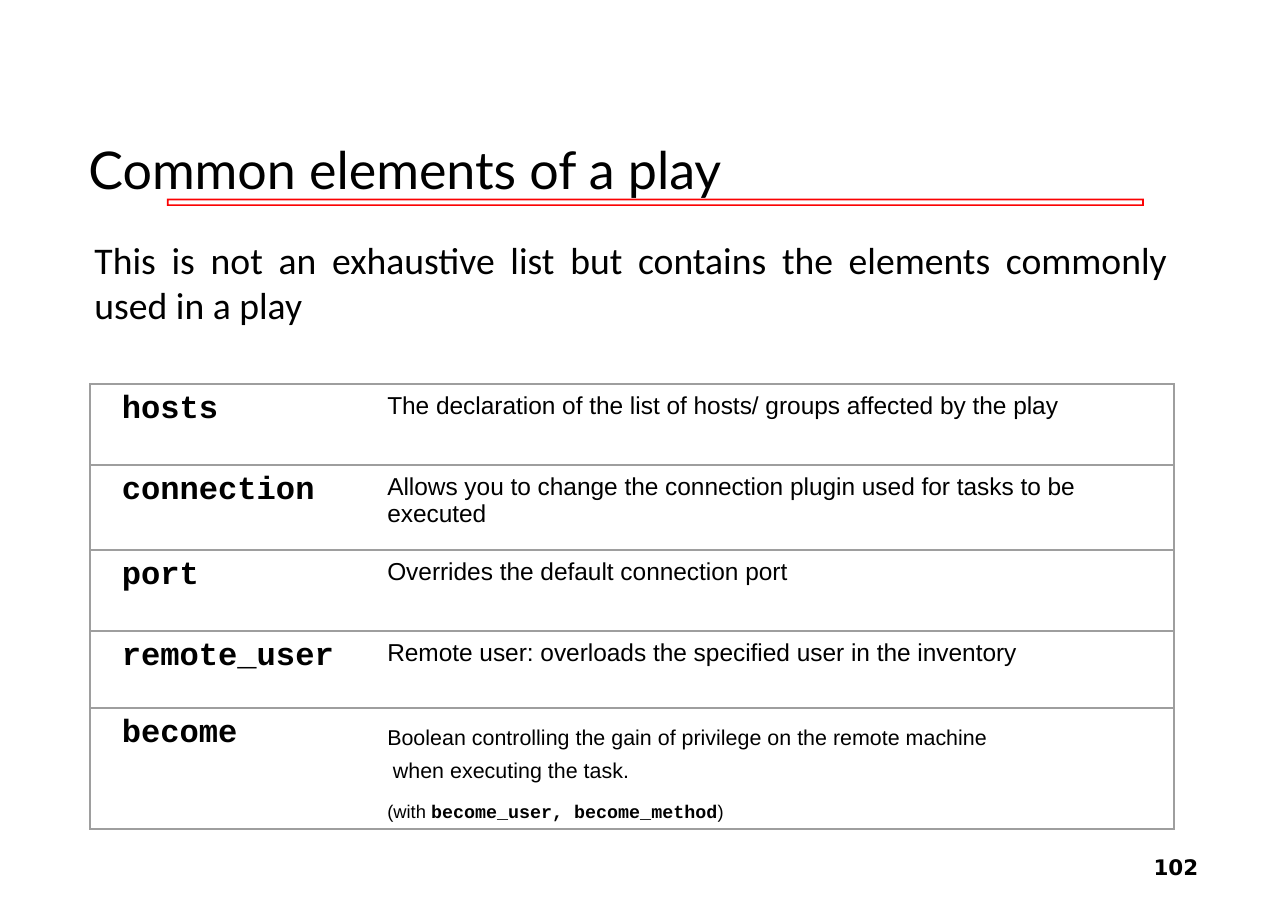
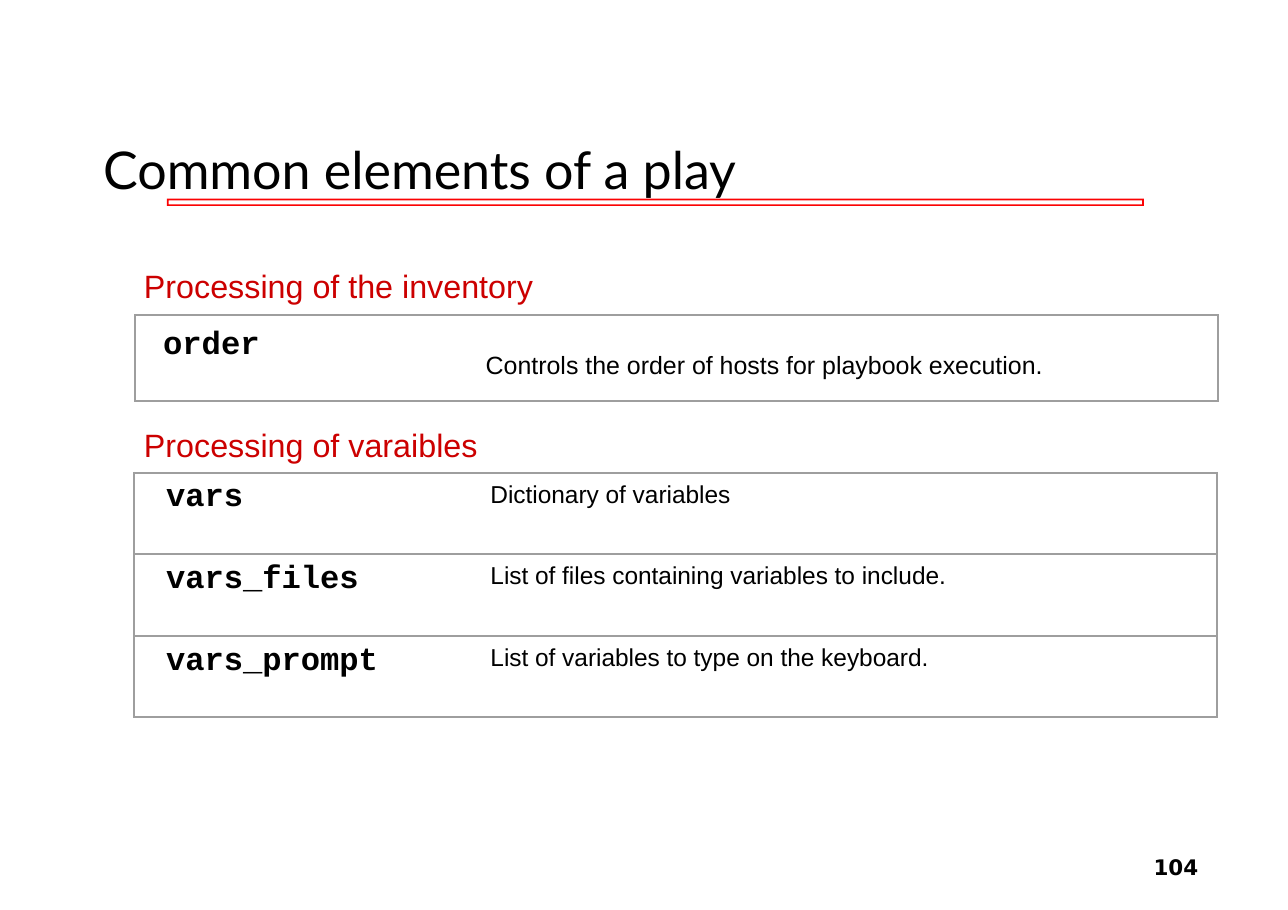
from dataclasses import dataclass

from lxml.etree import SubElement
from pptx import Presentation
from pptx.dml.color import RGBColor
from pptx.enum.shapes import MSO_CONNECTOR, MSO_SHAPE
from pptx.enum.text import PP_ALIGN
from pptx.oxml.ns import qn
from pptx.util import Cm, Pt


@dataclass(frozen=True)
class Theme:
    # Colours
    ink: str = "000000"
    rule: str = "FB0203"
    heading: str = "CC0000"
    border: str = "9E9E9E"
    # Fonts
    title_font: str = "Lato"
    intro_font: str = "Calibri"
    body_font: str = "Arial"
    code_font: str = "Courier New"
    number_font: str = "DejaVu Sans"
    # Type sizes
    title_size: float = 34
    intro_size: float = 24.6
    heading_size: float = 21.1
    term_size: float = 21
    order_size: float = 16.3
    body_size: float = 16
    detail_size: float = 14
    note_size: float = 12
    # Line width
    border_width: float = 1.5


THEME = Theme()
CODE = dict(font=THEME.code_font, bold=True)


def write(paragraph, *runs, font=THEME.body_font, size=THEME.body_size,
          color=THEME.ink, bold=False, align=PP_ALIGN.LEFT, spacing=None,
          before=None, hanging=0):
    """Fill a paragraph; a run is text or a (text, format) pair."""
    paragraph.alignment = align
    if spacing:
        paragraph.line_spacing = spacing
    if before:
        paragraph.space_before = Pt(before)
    if hanging:
        properties = paragraph._p.get_or_add_pPr()
        properties.set("marL", str(Cm(hanging)))
        properties.set("indent", str(-Cm(hanging)))
    for item in runs:
        text, changes = (item, {}) if isinstance(item, str) else item
        run = paragraph.add_run()
        run.text = text
        run.font.name = changes.get("font", font)
        run.font.size = Pt(size)
        run.font.bold = changes.get("bold", bold)
        run.font.color.rgb = RGBColor.from_string(color)


def set_margins(holder, left=0, top=0, right=0):
    holder.margin_left, holder.margin_top = Cm(left), Cm(top)
    holder.margin_right, holder.margin_bottom = Cm(right), Cm(0)


class Deck:
    def __init__(self, theme):
        self.theme = theme
        self.presentation = Presentation()
        self.presentation.slide_width = Cm(29.7)
        self.presentation.slide_height = Cm(20.98)
        self.slide = None

    def new_slide(self, title, number, title_left):
        """Start a slide with the shared rule, title and page number."""
        theme = self.theme
        blank = self.presentation.slide_layouts[6]
        self.slide = self.presentation.slides.add_slide(blank)
        self.title_rule()
        self.text(title_left, 3.17, 21, 1.45, title,
                  font=theme.title_font, size=theme.title_size)
        self.text(26.6, 19.69, 2.4, 0.86, str(number), bold=True,
                  font=theme.number_font, size=theme.detail_size)

    def title_rule(self):
        rule = self.slide.shapes.add_shape(
            MSO_SHAPE.FRAME, Cm(3.85), Cm(4.58), Cm(22.53), Cm(0.17))
        rule.adjustments[0] = 0.23
        rule.shadow.inherit = False
        rule.fill.solid()
        rule.fill.fore_color.rgb = RGBColor.from_string(self.theme.rule)
        rule.line.fill.background()

    def line(self, x1, y1, x2, y2):
        edge = self.slide.shapes.add_connector(
            MSO_CONNECTOR.STRAIGHT, Cm(x1), Cm(y1), Cm(x2), Cm(y2))
        edge.line.color.rgb = RGBColor.from_string(self.theme.border)
        edge.line.width = Pt(self.theme.border_width)
        SubElement(edge._element.spPr, qn("a:effectLst"))

    def frame(self, left, top, right, bottom):
        """Four ruled edges that overlap slightly at the corners."""
        overlap = 0.02
        for x in (left, right):
            self.line(x, top - overlap, x, bottom + overlap)
        for y in (top, bottom):
            self.line(left - overlap, y, right + overlap, y)

    def text(self, left, top, width, height, content, **style):
        box = self.slide.shapes.add_textbox(
            Cm(left), Cm(top), Cm(width), Cm(height))
        box.text_frame.word_wrap = True
        set_margins(box.text_frame)
        write(box.text_frame.paragraphs[0], content, **style)

    def heading(self, top, content):
        self.text(3.32, top, 12, 0.94, content,
                  size=self.theme.heading_size, color=self.theme.heading)

    def borders(self, cell, visible):
        """Draw the visible sides (of L, R, T, B) and clear the others."""
        properties = cell._tc.get_or_add_tcPr()
        for side in "LRTB":
            line = SubElement(properties, qn(f"a:ln{side}"),
                              w=str(Pt(self.theme.border_width)))
            if side in visible:
                fill = SubElement(line, qn("a:solidFill"))
                SubElement(fill, qn("a:srgbClr"), val=self.theme.border)
            else:
                SubElement(line, qn("a:noFill"))
        cell.fill.background()

    def definitions(self, left, top, widths, heights, entries, indent):
        """Table of terms and descriptions, ruled between rows only."""
        table = self.slide.shapes.add_table(
            len(entries), 2, Cm(left), Cm(top),
            Cm(sum(widths)), Cm(sum(heights))).table
        table.first_row = table.horz_banding = False
        for column, width in zip(table.columns, widths):
            column.width = Cm(width)
        for row, height, (term, description) in zip(
                table.rows, heights, entries):
            row.height = Cm(height)
            term_cell, description_cell = row.cells
            self.borders(term_cell, "LTB")
            self.borders(description_cell, "RTB")
            set_margins(term_cell, 0.73, 0.17)
            set_margins(description_cell, indent, 0.19)
            write(term_cell.text_frame.paragraphs[0], term,
                  size=self.theme.term_size, **CODE)
            if description:
                write(description_cell.text_frame.paragraphs[0], description)
        return table


def play_slide(deck):
    theme = deck.theme
    deck.new_slide("Common elements of a play", 102, title_left=2.04)
    deck.text(2.18, 5.46, 24.75, 2.1,
              "This is not an exhaustive list but contains the elements "
              "commonly used in a play",
              font=theme.intro_font, size=theme.intro_size,
              align=PP_ALIGN.JUSTIFY)
    entries = [
        ("hosts", "The declaration of the list of hosts/ groups affected "
                  "by the play"),
        ("connection", "Allows you to change the connection plugin used "
                       "for tasks to be executed"),
        ("port", "Overrides the default connection port"),
        ("remote_user", "Remote user: overloads the specified user in the "
                        "inventory"),
        ("become", None),
    ]
    table = deck.definitions(2.08, 8.86, (6.17, 18.82),
                             (1.87, 1.96, 1.86, 1.77, 2.68), entries, 0.68)

    # Two-part description of the last term
    become = table.cell(len(entries) - 1, 1)
    set_margins(become, 0.68, 0.2, 3.5)
    layout = dict(spacing=1.38, hanging=0.13)
    write(become.text_frame.paragraphs[0],
          "Boolean controlling the gain of privilege on the remote machine "
          "when executing the task.", size=theme.detail_size, **layout)
    write(become.text_frame.add_paragraph(),
          "(with ", ("become_user, become_method", CODE), ")",
          size=theme.note_size, before=7, **layout)


def processing_slide(deck):
    theme = deck.theme
    deck.new_slide("Common elements of a play", 104, title_left=2.38)

    # Inventory
    deck.heading(6.14, "Processing of the inventory")
    deck.frame(3.12, 7.26, 28.09, 9.24)
    deck.text(3.76, 7.44, 6, 0.94, "order", size=theme.heading_size, **CODE)
    deck.text(11.2, 7.94, 16.1, 0.76,
              "Controls the order of hosts for playbook execution.",
              size=theme.order_size, spacing=1.18)

    # Variables
    deck.heading(9.8, "Processing of varaibles")
    entries = [
        ("vars", "Dictionary of variables"),
        ("vars_files", "List of files containing variables to include."),
        ("vars_prompt", "List of variables to type on the keyboard."),
    ]
    deck.definitions(3.1, 10.9, (6.81, 18.16), [1.88] * len(entries),
                     entries, 1.4)


def main():
    deck = Deck(THEME)
    play_slide(deck)
    processing_slide(deck)
    deck.presentation.save("out.pptx")


if __name__ == "__main__":
    main()
